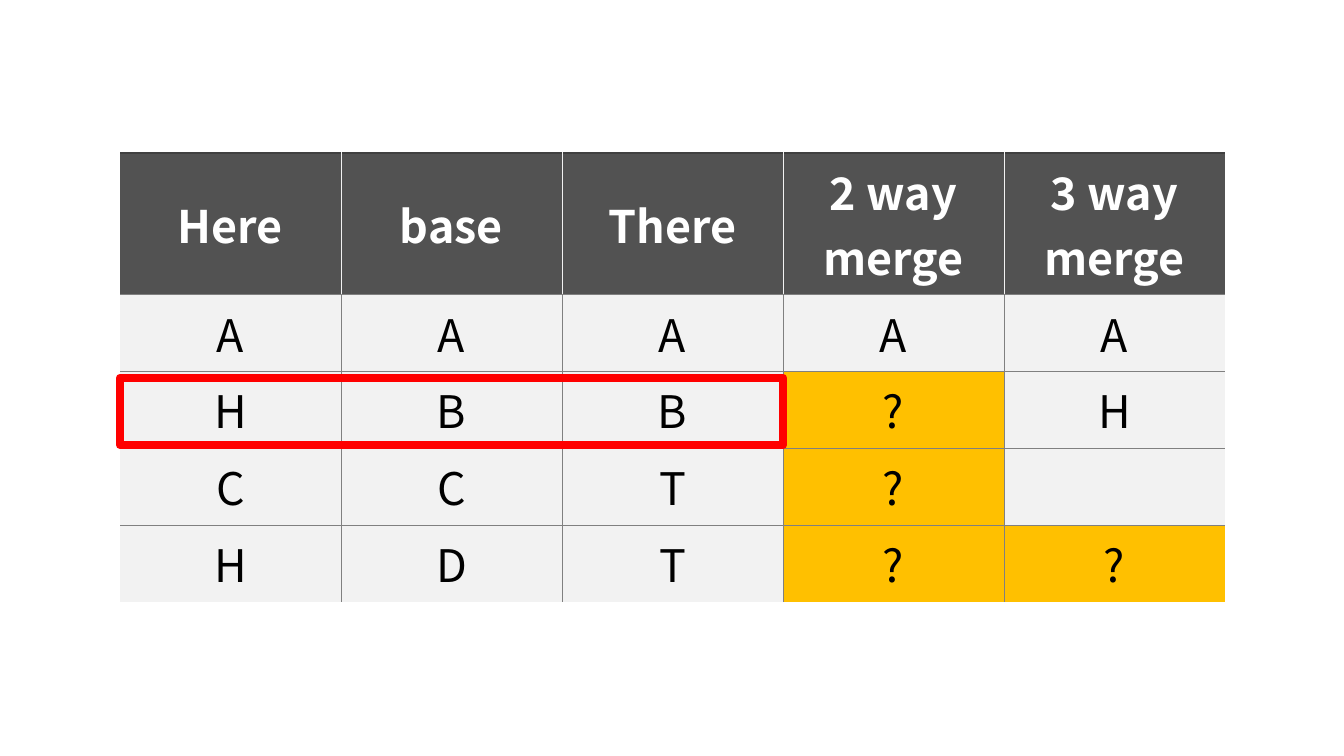
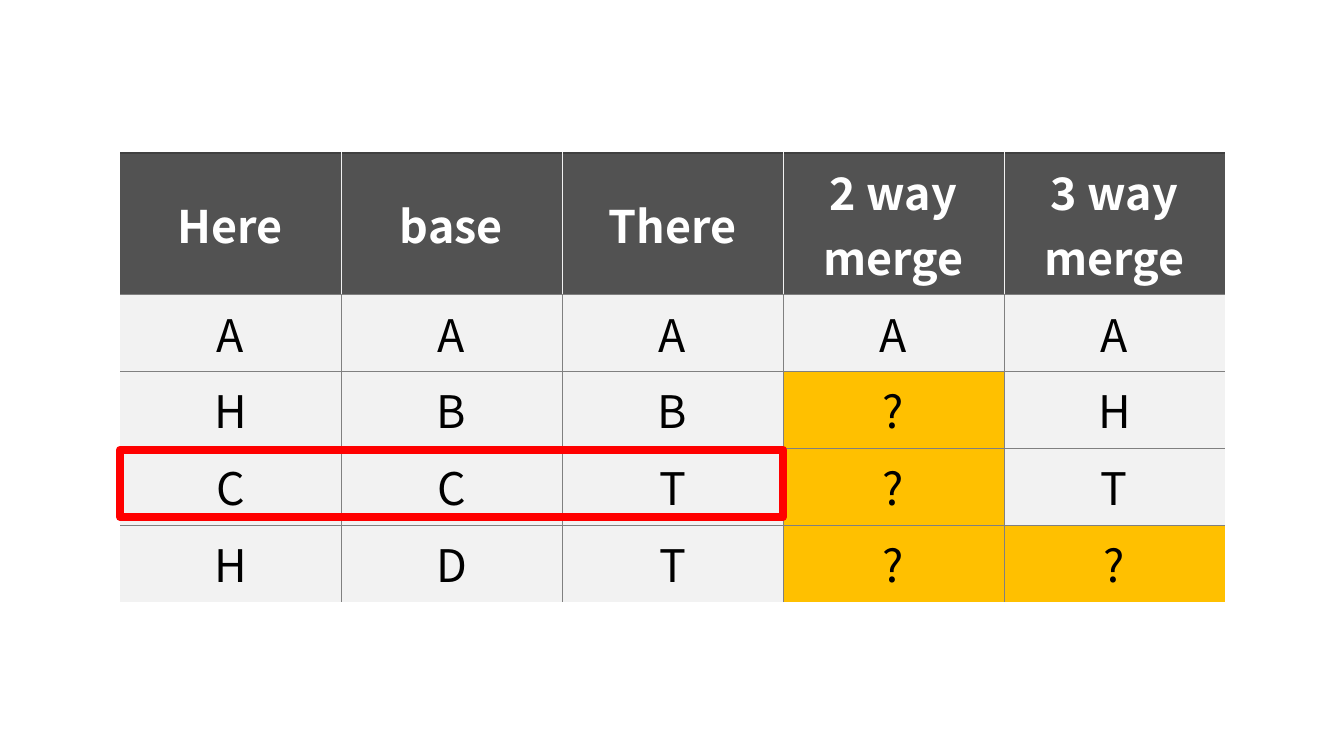
from lxml import etree
from pptx import Presentation
from pptx.dml.color import RGBColor
from pptx.enum.shapes import MSO_SHAPE
from pptx.enum.text import MSO_ANCHOR, PP_ALIGN
from pptx.oxml.ns import qn
from pptx.util import Emu, Pt

RECT = MSO_SHAPE.RECTANGLE
MIDDLE = MSO_ANCHOR.MIDDLE
CENTER = PP_ALIGN.CENTER

WHITE = RGBColor(0xFF, 0xFF, 0xFF)
BLACK = RGBColor(0x00, 0x00, 0x00)
DARK = RGBColor(0x52, 0x52, 0x52)
EDGE = RGBColor(0x40, 0x40, 0x40)
GRAY = RGBColor(0x80, 0x80, 0x80)
PALE = RGBColor(0xF2, 0xF2, 0xF2)
AMBER = RGBColor(0xFF, 0xC0, 0x00)
RED = RGBColor(0xFF, 0x00, 0x00)

FONT = "Noto Sans CJK KR"
SIZE = Pt(32)
BLANK = 6

LEFT, TOP = 120, 153
COL, HEAD, ROW = 221, 141, 77
BOX_H = 67

TITLES = ["Here", "base", "There", "2 way merge", "3 way merge"]


def px(n):
    return Emu(round(n * 914400 / 100.8))


def border(cell, side, color, width):
    """Draw one side of a cell, or hide it when color is None."""
    line = etree.SubElement(cell._tc.get_or_add_tcPr(), qn(f"a:ln{side}"))
    line.set("w", str(Pt(width)))
    if color is None:
        etree.SubElement(line, qn("a:noFill"))
    else:
        fill = etree.SubElement(line, qn("a:solidFill"))
        etree.SubElement(fill, qn("a:srgbClr")).set("val", str(color))


class Deck:
    def __init__(self):
        self.prs = Presentation()
        self.prs.slide_width = px(1344)
        self.prs.slide_height = px(756)
        self.slide = None

    def new(self):
        self.slide = self.prs.slides.add_slide(self.prs.slide_layouts[BLANK])

    def table(self, rows):
        count, width = len(rows), len(rows[0])
        high = HEAD + ROW * (count - 1)
        frame = self.slide.shapes.add_table(
            count, width, px(LEFT), px(TOP), px(COL * width), px(high))
        grid = frame.table
        for col in grid.columns:
            col.width = px(COL)
        for r, texts in enumerate(rows):
            grid.rows[r].height = px(ROW if r else HEAD)
            for c, text in enumerate(texts):
                cell = grid.cell(r, c)
                self.frame(cell, r, c, count - 1, width - 1)
                self.fill(cell, text, r == 0)

    def frame(self, cell, r, c, last_r, last_c):
        """Draw inner lines and the top edge; leave other outer edges open."""
        side = GRAY if r else PALE
        border(cell, "L", side if c else None, 0.5)
        border(cell, "R", side if c < last_c else None, 0.5)
        border(cell, "T", GRAY if r else EDGE, 0.5 if r else 1)
        border(cell, "B", GRAY if r < last_r else None, 0.5)

    def fill(self, cell, text, head):
        cell.fill.solid()
        cell.fill.fore_color.rgb = (
            DARK if head else AMBER if text == "?" else PALE)
        cell.vertical_anchor = MIDDLE
        cell.text_frame.text = text
        para = cell.text_frame.paragraphs[0]
        para.alignment = CENTER
        for run in para.runs:
            font = run.font
            font.name, font.size, font.bold = FONT, SIZE, head
            font.color.rgb = WHITE if head else BLACK

    def box(self, top):
        """Outline the first three cells of a row in red."""
        shape = self.slide.shapes.add_shape(
            RECT, px(LEFT), px(top), px(COL * 3), px(BOX_H))
        shape.shadow.inherit = False
        shape.fill.background()
        shape.line.color.rgb = RED
        shape.line.width = Pt(6)


def main():
    deck = Deck()
    for result, top in (("", 378), ("T", 450)):
        deck.new()
        deck.table([TITLES, "AAAAA", "HBB?H", ["C", "C", "T", "?", result],
                    "HDT??"])
        deck.box(top)
    deck.prs.save("out.pptx")


if __name__ == "__main__":
    main()
